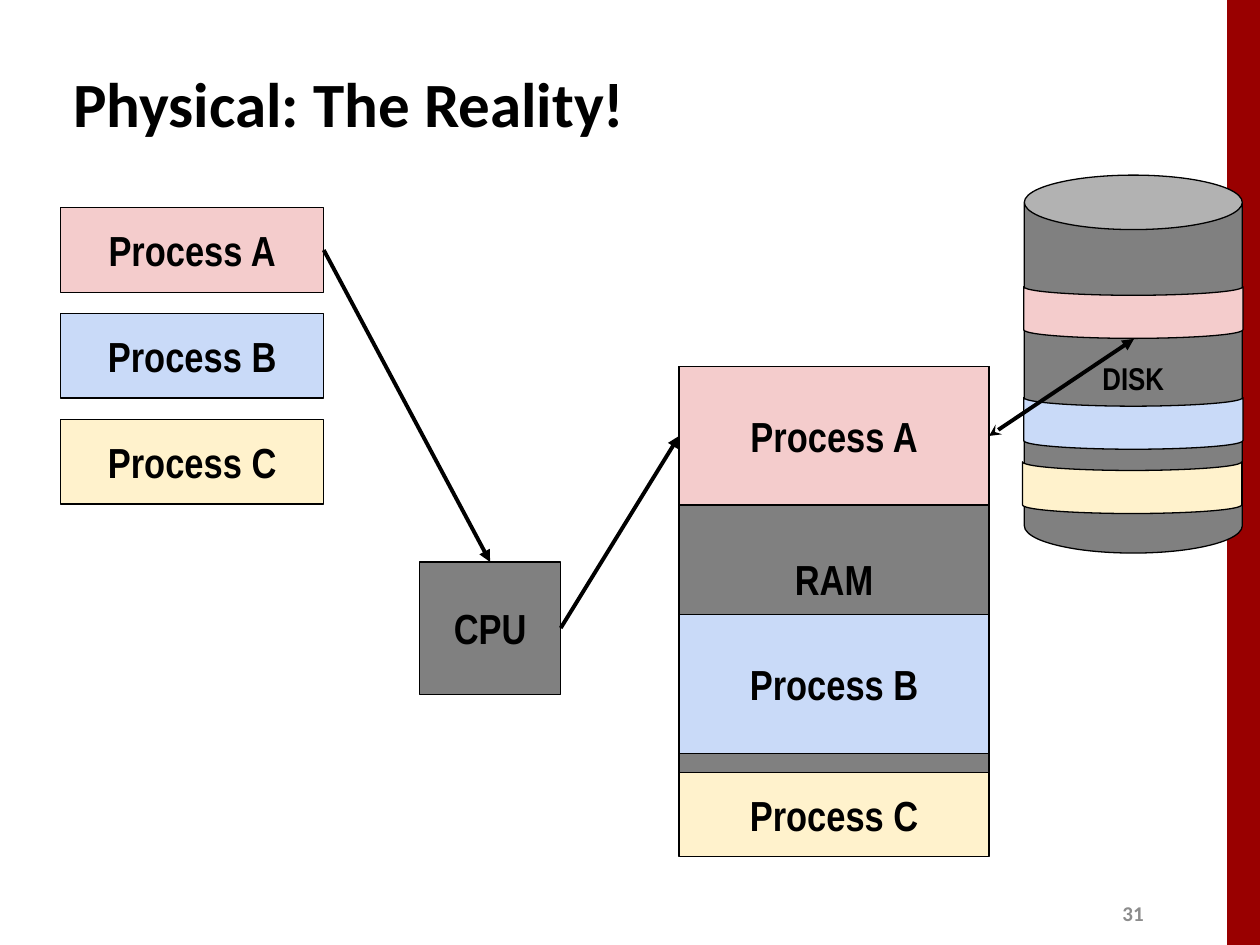
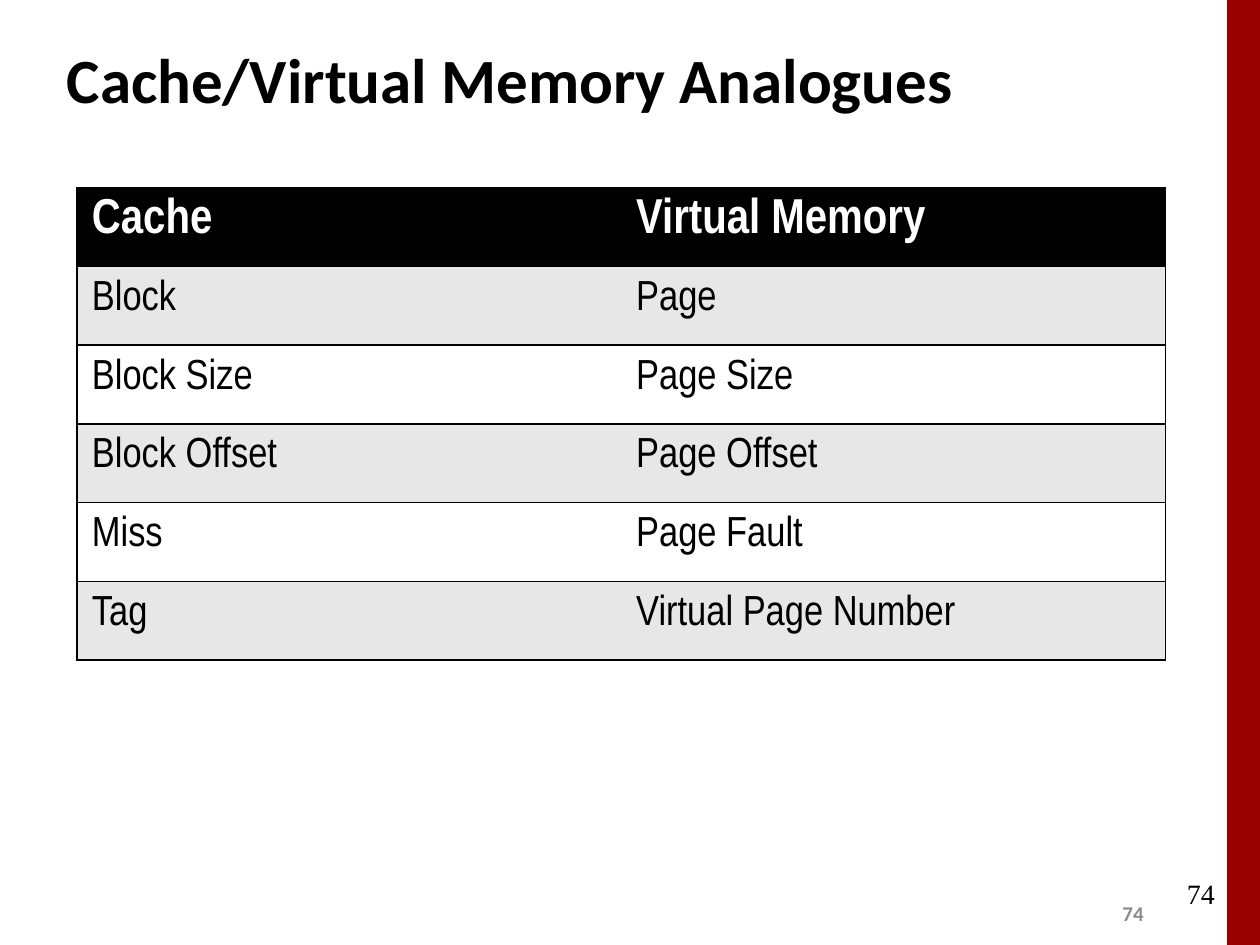
from lxml.etree import SubElement
from pptx import Presentation
from pptx.dml.color import RGBColor
from pptx.enum.shapes import MSO_CONNECTOR as Link, MSO_SHAPE as Preset
from pptx.enum.text import MSO_ANCHOR as Anchor, PP_ALIGN as Align
from pptx.oxml.ns import qn
from pptx.util import Inches, Pt

COLOURS = {
    "black": "000000", "white": "FFFFFF", "band": "990000", "number": "8C8C8C",
    "hardware": "808080", "stripe": "E7E7E7",
    "Process A": "F4CCCC", "Process B": "C9DAF8", "Process C": "FFF2CC",
}
HEAD_FONT, BODY_FONT, SERIF_FONT = "Calibri", "Arial Narrow", "Times New Roman"
PLAIN_TABLE = "{2D5ABB26-0587-4C30-8999-92F81FD0307C}"
TOP, LEFT, RIGHT = 0, 1, 3

PROCESSES = ["Process A", "Process B", "Process C"]
PROCESS_LEFT, PROCESS_TOP, PROCESS_STEP = 0.48, 1.65, 0.84
PROCESS_SIZE = (2.09, 0.67)
RAM_LEFT, RAM_WIDTH = 5.39, 2.46
RAM_PARTS = [("Process A", 2.91, 1.1), ("Process B", 4.88, 1.1), ("Process C", 6.13, 0.67)]
DISK_PARTS = [("Process A", 8.79, 1.61), ("Process C", 8.78, 3), ("Process B", 8.79, 2.49)]
DISK_PART_SIZE = (0.41, 1.74)
DISK_POINT = (9, 2.69)

ANALOGUES = [
    ("Cache", "Virtual Memory"),
    ("Block", "Page"),
    ("Block Size", "Page Size"),
    ("Block Offset", "Page Offset"),
    ("Miss", "Page Fault"),
    ("Tag", "Virtual Page Number"),
]


def colour(name):
    return RGBColor.from_string(COLOURS[name])


def place(*lengths):
    return [Inches(length) for length in lengths]


def style(para, font, size, shade="black", bold=True, align=Align.LEFT):
    para.alignment = align
    para.font.name = font
    para.font.size = Pt(size)
    para.font.bold = bold
    para.font.color.rgb = colour(shade)


def add_label(page, text, at, font, size, shade, bold, align, anchor):
    frame = page.shapes.add_textbox(*place(*at)).text_frame
    frame.word_wrap = True
    frame.vertical_anchor = anchor
    frame.text = text
    style(frame.paragraphs[0], font, size, shade, bold, align)


def add_box(page, at, fill, text="", preset=Preset.RECTANGLE, size=24, outline="black"):
    box = page.shapes.add_shape(preset, *place(*at))
    box.shadow.inherit = False
    box.fill.solid()
    box.fill.fore_color.rgb = colour(fill)
    if outline:
        box.line.color.rgb = colour(outline)
        box.line.width = Pt(0.75)
    else:
        box.line.fill.background()
    if text:
        frame = box.text_frame
        frame.vertical_anchor = Anchor.MIDDLE
        frame.text = text
        style(frame.paragraphs[0], BODY_FONT, size, align=Align.CENTER)
    return box


def add_arrow(page, source, source_side, target=None, target_side=None, point=(0, 0), head=None):
    arrow = page.shapes.add_connector(Link.STRAIGHT, 0, 0, *place(*point))
    arrow.begin_connect(source, source_side)
    if target is not None:
        arrow.end_connect(target, target_side)
    arrow.line.color.rgb = colour("black")
    arrow.line.width = Pt(2.25)
    properties = arrow._element.spPr
    line = properties.find(qn("a:ln"))
    if head:
        SubElement(line, qn("a:headEnd"), type=head)
    SubElement(line, qn("a:tailEnd"), type="triangle")
    SubElement(properties, qn("a:effectLst"))


def add_page(deck, title, title_at, number):
    page = deck.slides.add_slide(deck.slide_layouts[5])
    add_box(page, (9.74, 0, 0.26, 7.5), "band", outline=None)
    add_label(page, number, (8.81, 7.1, 0.4, 0.3), HEAD_FONT, 12, "number", True,
              Align.LEFT, Anchor.MIDDLE)
    heading = page.shapes.title
    heading.left, heading.top, heading.width, heading.height = place(*title_at)
    heading.text_frame.vertical_anchor = Anchor.MIDDLE
    heading.text_frame.text = title
    style(heading.text_frame.paragraphs[0], HEAD_FONT, 36)
    return page


def add_borders(cell, sides):
    properties = cell._tc.get_or_add_tcPr()
    for side in sides:
        line = SubElement(properties, qn(f"a:ln{side}"), w=str(Pt(1)))
        fill = SubElement(line, qn("a:solidFill"))
        SubElement(fill, qn("a:srgbClr"), val=COLOURS["black"])


def build_memory_page(deck):
    page = add_page(deck, "Physical: The Reality!", (0.48, 0.19, 9, 1.25), "31")
    cpu = add_box(page, (3.33, 4.46, 1.12, 1.05), "hardware", "CPU")
    add_box(page, (RAM_LEFT, 2.91, RAM_WIDTH, 3.36), "hardware", "RAM")
    processes = [
        add_box(page, (PROCESS_LEFT, PROCESS_TOP + row * PROCESS_STEP, *PROCESS_SIZE), name, name)
        for row, name in enumerate(PROCESSES)
    ]
    resident = [
        add_box(page, (RAM_LEFT, top, RAM_WIDTH, height), name, name)
        for name, top, height in RAM_PARTS
    ]
    add_arrow(page, processes[0], RIGHT, cpu, TOP)
    add_arrow(page, cpu, RIGHT, resident[0], LEFT)
    add_box(page, (8.13, 1.39, 1.73, 3), "hardware", "DISK", Preset.CAN, 18)
    for name, left, top in DISK_PARTS:
        part = add_box(page, (left, top, *DISK_PART_SIZE), name, preset=Preset.FLOWCHART_STORED_DATA)
        part.rotation = 270
    add_arrow(page, resident[0], RIGHT, point=DISK_POINT, head="stealth")


def build_analogues_page(deck):
    page = add_page(deck, "Cache/Virtual Memory Analogues", (0.43, 0.21, 8.3, 0.83), "74")
    holder = page.shapes.add_table(len(ANALOGUES), 2, *place(0.61, 1.49, 8.64, 3.75))
    table = holder.table
    table._tbl.tblPr.find(qn("a:tableStyleId")).text = PLAIN_TABLE
    for row, names in enumerate(ANALOGUES):
        header = row == 0
        fill = "black" if header else "stripe" if row % 2 else "white"
        for column, name in enumerate(names):
            cell = table.cell(row, column)
            add_borders(cell, "RTB" if column else "LTB")
            cell.fill.solid()
            cell.fill.fore_color.rgb = colour(fill)
            cell.vertical_anchor = Anchor.MIDDLE
            cell.margin_left = cell.margin_right = Inches(0.12)
            cell.margin_top, cell.margin_bottom = place(0, 0.1)
            cell.text = name
            style(cell.text_frame.paragraphs[0], BODY_FONT, 28 if header else 24,
                  "white" if header else "black", header)
    add_label(page, "74", (7.41, 6.91, 2.33, 0.5), SERIF_FONT, 16, "black", False,
              Align.RIGHT, Anchor.TOP)


def main():
    deck = Presentation()
    deck.slide_width, deck.slide_height = place(10, 7.5)
    build_memory_page(deck)
    build_analogues_page(deck)
    deck.save("out.pptx")


if __name__ == "__main__":
    main()
